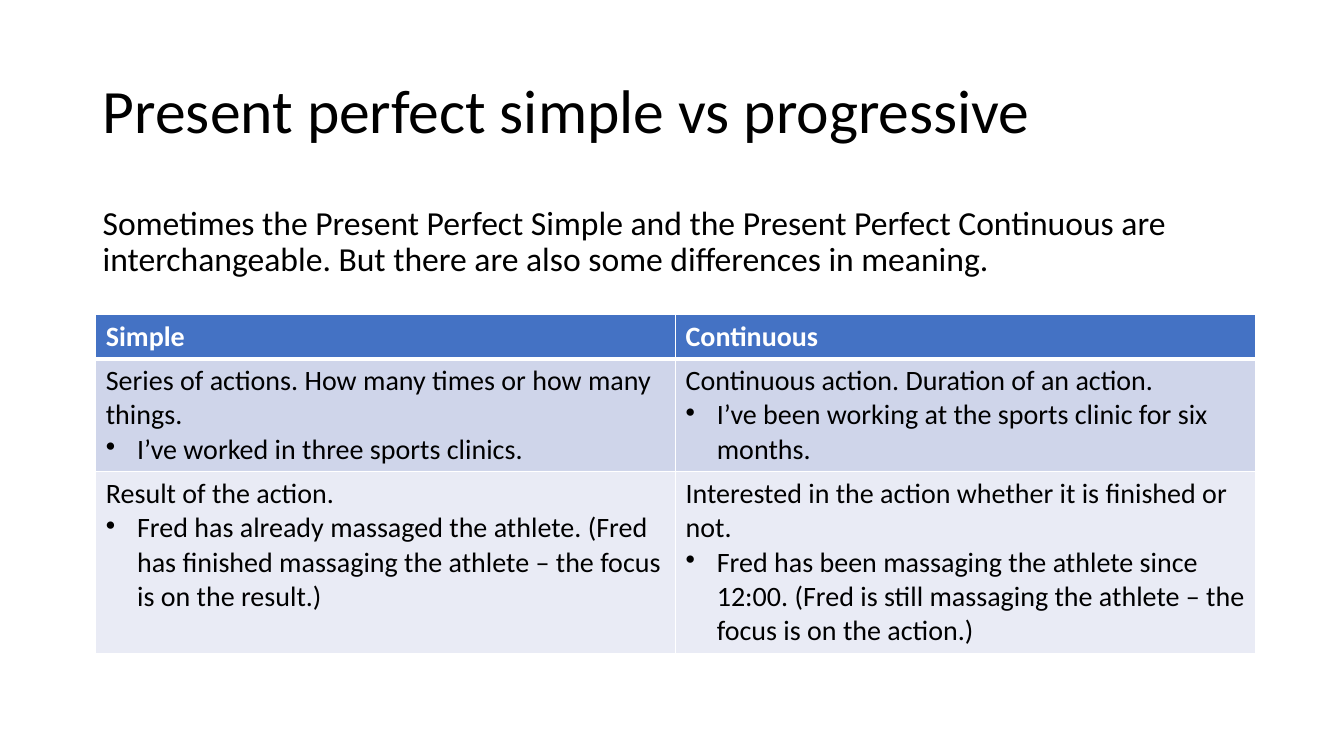
from lxml import etree
from pptx import Presentation
from pptx.dml.color import RGBColor
from pptx.enum.text import MSO_ANCHOR, MSO_AUTO_SIZE, PP_ALIGN
from pptx.oxml.ns import qn
from pptx.util import Inches, Pt

MIDDLE = MSO_ANCHOR.MIDDLE
NO_AUTOFIT = MSO_AUTO_SIZE.NONE
LEFT = PP_ALIGN.LEFT

BLACK = RGBColor(0x00, 0x00, 0x00)
WHITE = RGBColor(0xFF, 0xFF, 0xFF)
HEADER_BLUE = RGBColor(0x44, 0x72, 0xC4)
ROW_FILLS = [RGBColor(0xCF, 0xD5, 0xEA), RGBColor(0xE9, 0xEB, 0xF5)]

FONT = "Calibri"
SLIDE_WIDTH, SLIDE_HEIGHT = Inches(13.33), Inches(7.5)
MARGIN = Inches(0.92)
CONTENT_WIDTH = Inches(11.5)
TABLE_LEFT, TABLE_TOP = Inches(0.95), Inches(3.12)
ROW_HEIGHTS = [Inches(0.43), Inches(1.12), Inches(1.8)]
BULLET_INDENT = Inches(0.31)
THIN, THICK = Pt(1), Pt(3)

TITLE = "Present perfect simple vs progressive"
INTRO = ("Sometimes the Present Perfect Simple and the Present Perfect Continuous "
         "are interchangeable. But there are also some differences in meaning.")
HEADINGS = ["Simple", "Continuous"]
COMPARISONS = [
    [("Series of actions. How many times or how many things.",
      "I’ve worked in three sports clinics."),
     ("Continuous action. Duration of an action.",
      "I’ve been working at the sports clinic for six months.")],
    [("Result of the action.",
      "Fred has already massaged the athlete. (Fred has finished massaging "
      "the athlete – the focus is on the result.)"),
     ("Interested in the action whether it is finished or not.",
      "Fred has been massaging the athlete since 12:00. (Fred is still "
      "massaging the athlete – the focus is on the action.)")],
]


def style_paragraph(paragraph, size, color=BLACK, bold=False):
    paragraph.alignment = LEFT
    paragraph.font.name = FONT
    paragraph.font.size = Pt(size)
    paragraph.font.color.rgb = color
    paragraph.font.bold = bold


def fill_text(shape, text, size):
    frame = shape.text_frame
    frame.word_wrap = True
    frame.auto_size = NO_AUTOFIT
    frame.text = text
    paragraph = frame.paragraphs[0]
    style_paragraph(paragraph, size)
    paragraph.line_spacing = 0.9
    return frame


def add_bullet(paragraph):
    properties = paragraph._p.get_or_add_pPr()
    properties.set("marL", str(BULLET_INDENT))
    properties.set("indent", str(-BULLET_INDENT))
    bullet = etree.Element(qn("a:buChar"), char="•")
    properties.insert_element_before(bullet, "a:tabLst", "a:defRPr", "a:extLst")


def add_borders(cell, top, bottom):
    properties = cell._tc.get_or_add_tcPr()
    for side, width in (("L", THIN), ("R", THIN), ("T", top), ("B", bottom)):
        line = etree.SubElement(properties, qn(f"a:ln{side}"), w=str(width))
        fill = etree.SubElement(line, qn("a:solidFill"))
        etree.SubElement(fill, qn("a:srgbClr"), val=str(WHITE))


def fill_cell(cell, lines, fill, color=BLACK, bold=False, top=THIN, bottom=THIN):
    add_borders(cell, top, bottom)
    cell.fill.solid()
    cell.fill.fore_color.rgb = fill
    cell.text = "\n".join(lines)
    for paragraph in cell.text_frame.paragraphs:
        style_paragraph(paragraph, 20, color, bold)
    for example in cell.text_frame.paragraphs[1:]:
        add_bullet(example)


def add_title(slide):
    title = slide.shapes.title
    title.left, title.top = MARGIN, Inches(0.4)
    title.width, title.height = CONTENT_WIDTH, Inches(1.45)
    fill_text(title, TITLE, 44).vertical_anchor = MIDDLE


def add_intro(slide):
    intro = slide.shapes.add_textbox(MARGIN, Inches(2), CONTENT_WIDTH, Inches(1))
    fill_text(intro, INTRO, 24)


def add_comparison(slide):
    table = slide.shapes.add_table(
        len(ROW_HEIGHTS), len(HEADINGS), TABLE_LEFT, TABLE_TOP,
        CONTENT_WIDTH, sum(ROW_HEIGHTS)).table
    for row, height in zip(table.rows, ROW_HEIGHTS):
        row.height = height
    for column, heading in enumerate(HEADINGS):
        fill_cell(table.cell(0, column), [heading], HEADER_BLUE, WHITE, True,
                  bottom=THICK)
    for row, (uses, fill) in enumerate(zip(COMPARISONS, ROW_FILLS), start=1):
        for column, lines in enumerate(uses):
            fill_cell(table.cell(row, column), lines, fill,
                      top=THICK if row == 1 else THIN)


def main():
    presentation = Presentation()
    presentation.slide_width = SLIDE_WIDTH
    presentation.slide_height = SLIDE_HEIGHT
    slide = presentation.slides.add_slide(presentation.slide_layouts[5])
    add_title(slide)
    add_intro(slide)
    add_comparison(slide)
    presentation.save("out.pptx")


if __name__ == "__main__":
    main()
